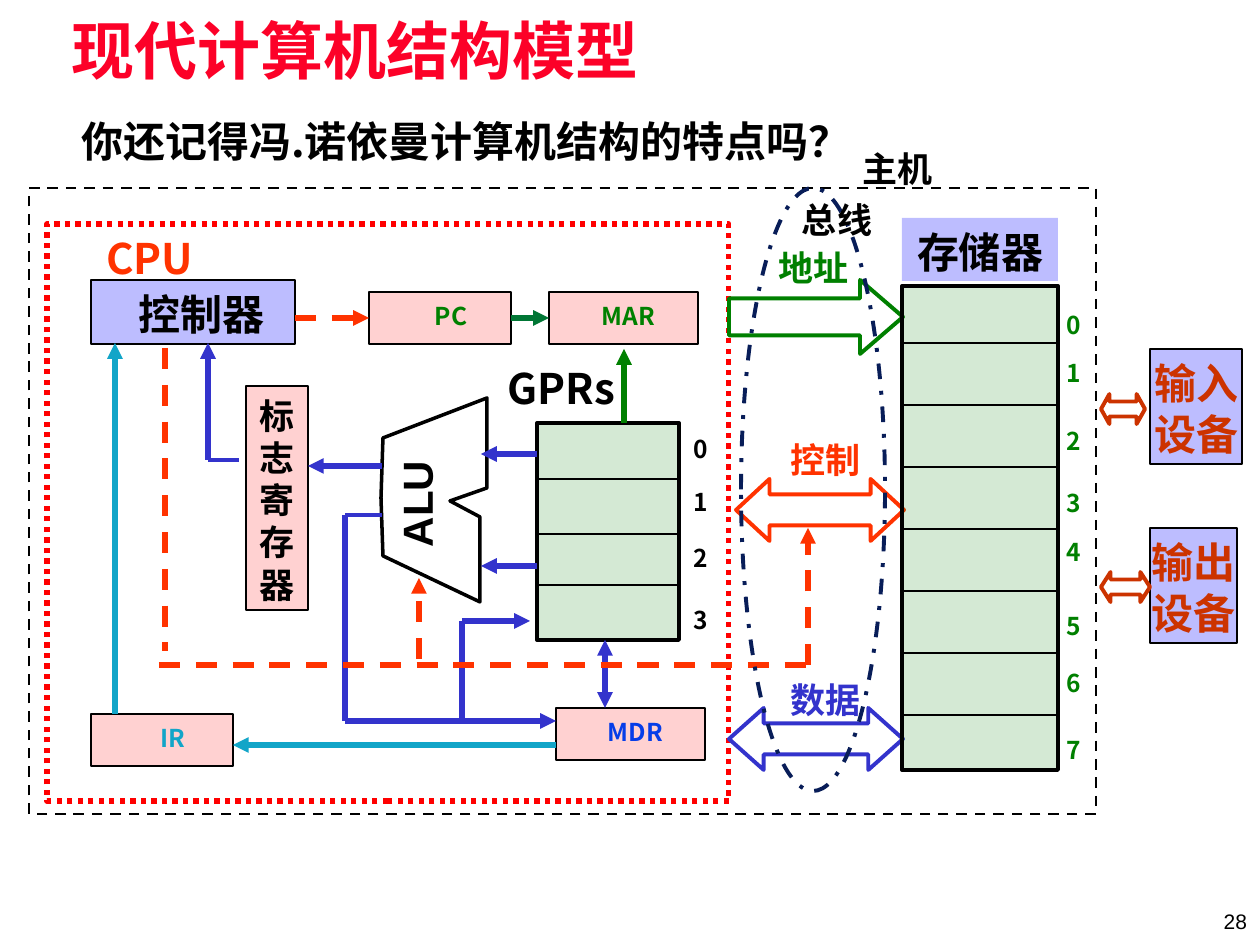
import pptx
import pptx.util
import pptx.dml.color
import pptx.enum.dml
import pptx.enum.shapes
import pptx.enum.text
import pptx.oxml.ns
import lxml.etree

PX = 914400 / 126  # EMU per px
FONT = "Noto Sans CJK SC"
C = {"black": "000000", "white": "FFFFFF", "red": "FF0000", "title": "FC0128",
     "orange": "FF3300", "rust": "CC3300", "green": "008000", "teal": "007635",
     "blue": "0000FF", "indigo": "3333CC", "royal": "063DE8", "cyan": "12A5C8",
     "navy": "081D58"}
RGB = {name: pptx.dml.color.RGBColor.from_string(h) for name, h in C.items()}
MSO = pptx.enum.shapes.MSO_SHAPE
DASH = pptx.enum.dml.MSO_LINE
ALIGN = pptx.enum.text.PP_ALIGN
qn = pptx.oxml.ns.qn

prs = pptx.Presentation()
prs.slide_width = round(1260 * PX)
prs.slide_height = round(945 * PX)
s = prs.slides.add_slide(prs.slide_layouts[5])


def box(kind, x, y, w, h, text="", size=14, color="black", fill=None, alpha=None,
        line=None, width=0.75, dash=None, nudge=0, align=ALIGN.CENTER, font=FONT,
        top=9, spacing=1.2):
    """Place a preset shape, a text box (kind None) or the title (kind "title")."""
    left, upper, wide, high = (round(v * PX) for v in (x, y, w, h))
    if kind is None:
        sp = s.shapes.add_textbox(left, upper, wide, high)
    elif kind == "title":
        sp = s.shapes.title
        sp.left, sp.top, sp.width, sp.height = left, upper, wide, high
    else:
        sp = s.shapes.add_shape(kind, left, upper, wide, high)
        sp.shadow.inherit = False
        if fill:
            sp.fill.solid()
            sp.fill.fore_color.rgb = RGB[fill]
            if alpha:
                clr = sp.fill._xPr.find(".//" + qn("a:srgbClr"))
                lxml.etree.SubElement(clr, qn("a:alpha"), val=str(alpha * 1000))
        else:
            sp.fill.background()
        if line:
            sp.line.color.rgb = RGB[line]
            sp.line.width = pptx.util.Pt(width)
            sp.line.dash_style = dash
        else:
            sp.line.fill.background()
    if text:
        tf = sp.text_frame
        tf.text = text
        tf.word_wrap = True
        tf.auto_size = pptx.enum.text.MSO_AUTO_SIZE.NONE
        tf.vertical_anchor = pptx.enum.text.MSO_ANCHOR.TOP
        tf.margin_left, tf.margin_top = round(2 * nudge * PX), round(top * PX)
        tf.margin_right = tf.margin_bottom = 0
        for p in tf.paragraphs:
            p.alignment = align
            p.line_spacing = pptx.util.Pt(size * spacing)
            p.font.size = pptx.util.Pt(size)
            p.font.bold = True
            p.font.name = font
            p.font.color.rgb = RGB[color]
            lxml.etree.SubElement(p.font._rPr, qn("a:ea"), typeface=FONT)
    return sp


def wire(x1, y1, x2, y2, color, width=3, ends="", dash=None):
    """Draw a straight line; ends names the ends that carry arrowheads."""
    ln = s.shapes.add_connector(pptx.enum.shapes.MSO_CONNECTOR.STRAIGHT,
                                *(round(v * PX) for v in (x1, y1, x2, y2)))
    ln.line.color.rgb = RGB[color]
    ln.line.width = pptx.util.Pt(width)
    ln.line.dash_style = dash
    for end in ends.split():
        lxml.etree.SubElement(ln.line._ln, qn("a:" + end), type="triangle")
    lxml.etree.SubElement(ln._element.spPr, qn("a:effectLst"))


# Title, question and page number
box("title", 63, 14, 1134, 77, "现代计算机结构模型", 36, "title",
    nudge=4.5, align=ALIGN.LEFT, font="Arial", top=4, spacing=1.1)
box(None, 29, 107, 874, 63, "你还记得冯.诺依曼计算机结构的特点吗？", 24)
page = box(None, 976, 895, 271, 50, "28", 12, align=ALIGN.RIGHT, font="Arial", top=14)
page.text_frame.paragraphs[0].font.bold = False

# Host and CPU frames
box(MSO.RECTANGLE, 29, 188, 1067, 626, line="black", width=1.5, dash=DASH.DASH)
box(MSO.RECTANGLE, 47, 224, 682, 577, line="red", width=3, dash=DASH.ROUND_DOT)
box(None, 91, 224, 117, 63, "CPU", 24, "orange")

# Controller, flag register and small registers
box(MSO.RECTANGLE, 91, 280, 204, 64, "控制器", 24, fill="blue", alpha=26,
    line="black", nudge=9)
box(MSO.RECTANGLE, 246, 386, 62, 224, "标\n志\n寄\n存\n器", 20, fill="red",
    alpha=18, line="black")
for name, x, y, w, color, nudge in [
        ("PC", 369, 292, 142, "green", 11), ("MAR", 549, 292, 149, "green", 5),
        ("MDR", 556, 708, 149, "royal", 5), ("IR", 91, 714, 142, "cyan", 11)]:
    box(MSO.RECTANGLE, x, y, w, 52, name, 14, color, "red", 18, "black", nudge=nudge)

# Input and output devices
for name, x, y, w, arrow_y, arrow_w, head in [
        ("输入\n设备", 1150, 349, 92, 394, 44, 0.28),
        ("输出\n设备", 1150, 528, 87, 572, 49, 0.32)]:
    box(MSO.RECTANGLE, x, y, w, 115, name, 24, "rust", "blue", 26, "black")
    sp = box(MSO.LEFT_RIGHT_ARROW, 1101, arrow_y, arrow_w, 30, fill="white",
             line="rust", width=2.25)
    sp.adjustments[1] = head

# ALU
outline = [(487, 398), (487, 488), (450, 501), (480, 517), (480, 602),
           (383, 556), (381, 498), (383, 438)]
builder = s.shapes.build_freeform(*outline[0], scale=PX)
builder.add_line_segments(outline[1:], close=True)
alu = builder.convert_to_shape()
alu.shadow.inherit = False
alu.fill.background()
alu.line.color.rgb = RGB["black"]
alu.line.width = pptx.util.Pt(2)
box(None, 362, 475, 112, 58, "ALU", 24, font="Arial", top=6, spacing=1.1).rotation = 270

# Buses
for name, label_x, label_y, kind, x, y, w, h, color, head in [
        ("地址", 755, 237, MSO.RIGHT_ARROW, 729, 280, 174, 74, "green", 0.58),
        ("控制", 767, 430, MSO.LEFT_RIGHT_ARROW, 736, 479, 168, 62, "orange", 0.54),
        ("数据", 767, 670, MSO.LEFT_RIGHT_ARROW, 729, 708, 174, 62, "indigo", 0.56)]:
    sp = box(kind, x, y, w, h, fill="white", line=color, width=2.25)
    sp.adjustments[1] = head
    box(None, label_x, label_y, 118, 54, name, 20, color)

# Register file and memory: frame, row rules, row numbers
box(None, 481, 354, 161, 63, "GPRs", 24)
box(MSO.RECTANGLE, 902, 218, 156, 63, "存储器", 24, fill="blue", alpha=26)
for x, y, w, h, rules, number_x, number_w, number_ys, color in [
        (537, 423, 142, 217, [479, 534, 585], 679, 44,
         [425, 478, 534, 596], "black"),
        (902, 286, 156, 484, range(343, 716, 62), 1053, 42,
         [301, 349, 417, 479, 528, 602, 659, 726], "green")]:
    box(MSO.RECTANGLE, x, y, w, h, fill="green", alpha=17, line="black", width=2.25)
    for rule_y in rules:
        wire(x, rule_y, x + w, rule_y, "black", 0.75)
    for i, number_y in enumerate(number_ys):
        box(None, number_x, number_y, number_w, 50, str(i), 14, color)

# Data paths
for x1, y1, x2, y2, color, width, ends in [
        (511, 318, 549, 318, "teal", 3, "tailEnd"),
        (605, 640, 605, 708, "indigo", 3, "headEnd tailEnd"),
        (537, 454, 481, 454, "indigo", 3, "tailEnd"),
        (537, 566, 481, 566, "indigo", 3, "tailEnd"),
        (382, 466, 308, 466, "indigo", 3, "tailEnd"),
        (239, 460, 208, 460, "indigo", 2.25, ""),
        (208, 460, 208, 343, "indigo", 3, "tailEnd"),
        (624, 423, 624, 349, "green", 3, "tailEnd"),
        (382, 515, 345, 515, "indigo", 2.25, ""),
        (345, 515, 345, 721, "indigo", 3, ""),
        (345, 721, 556, 721, "indigo", 3, "tailEnd"),
        (462, 721, 462, 621, "indigo", 3, ""),
        (462, 621, 530, 621, "indigo", 3, "tailEnd"),
        (556, 745, 233, 745, "cyan", 3, "tailEnd"),
        (115, 714, 115, 343, "cyan", 3, "tailEnd")]:
    wire(x1, y1, x2, y2, color, width, ends)

# Control signals
for x1, y1, x2, y2, ends in [
        (295, 318, 369, 318, "tailEnd"), (159, 665, 810, 665, ""),
        (165, 348, 165, 651, ""), (419, 659, 419, 578, "tailEnd"),
        (808, 665, 808, 528, "tailEnd")]:
    wire(x1, y1, x2, y2, "orange", 3, ends, DASH.DASH)

# Bus group and its labels
box(MSO.OVAL, 741, 188, 144, 603, line="navy", width=2.25, dash=DASH.DASH_DOT)
for name, x, y in [("总线", 802, 189), ("主机", 862, 139)]:
    box(None, x, y, 92, 55, name, 20, align=ALIGN.LEFT)

prs.save("out.pptx")
